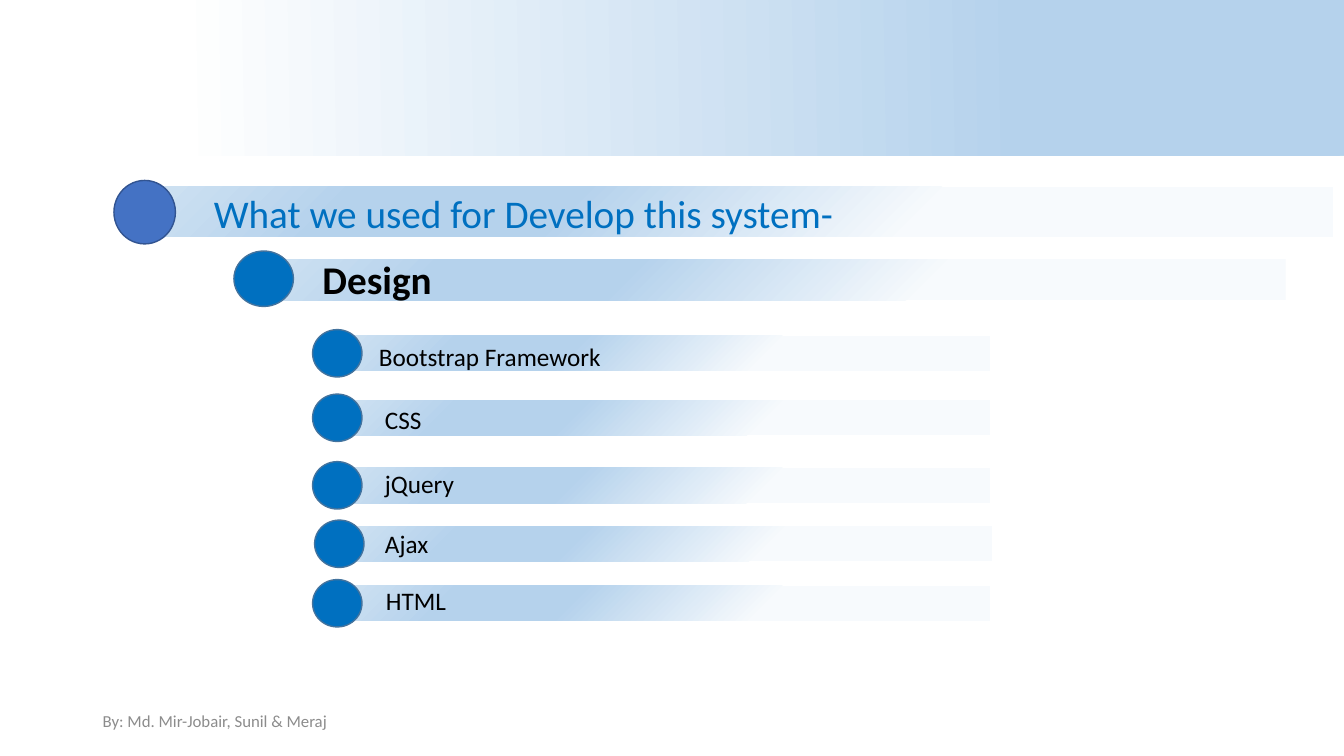
from lxml import etree
from pptx import Presentation
from pptx.dml.color import RGBColor
from pptx.enum.shapes import MSO_SHAPE
from pptx.enum.text import MSO_ANCHOR, MSO_AUTO_SIZE, PP_ALIGN
from pptx.oxml.ns import qn
from pptx.util import Inches, Pt

RECT, OVAL = MSO_SHAPE.RECTANGLE, MSO_SHAPE.OVAL
TOP, MIDDLE = MSO_ANCHOR.TOP, MSO_ANCHOR.MIDDLE
GROW, FIXED = MSO_AUTO_SIZE.SHAPE_TO_FIT_TEXT, MSO_AUTO_SIZE.NONE
LEFT = PP_ALIGN.LEFT
TITLE_ONLY = 5

COLORS = {
    "white": "FFFFFF", "ice": "F7FAFD", "sky": "B5D2EC", "pale": "CEE1F2",
    "blue": "0070C0", "blue_edge": "43739E",
    "indigo": "4472C4", "indigo_edge": "325491",
    "black": "000000", "gray": "8C8C8C",
}
BANNER_STOPS = [(13, "white"), (76, "sky"), (100, "sky"), (100, "pale")]
BAR_STOPS = [(35, "ice"), (65, "sky"), (83, "sky"), (100, "pale")]


class SlideBuilder:
    font = "Calibri"

    def __init__(self, slide):
        self.slide = slide

    def color(self, name):
        return RGBColor.from_string(COLORS[name])

    def shape(self, kind, box):
        shape = self.slide.shapes.add_shape(kind, *map(Inches, box))
        shape.shadow.inherit = False
        return shape

    def gradient_bar(self, box, stops=BAR_STOPS, angle=45, rotation=180):
        bar = self.shape(RECT, box)
        bar.rotation = rotation
        bar.line.fill.background()
        bar.fill.gradient()
        # The angle in the file runs clockwise, the property counterclockwise
        bar.fill.gradient_angle = (360 - angle) % 360
        stop_list = bar._element.spPr.find(qn("a:gradFill")).find(qn("a:gsLst"))
        for old_stop in list(stop_list):
            stop_list.remove(old_stop)
        for percent, name in stops:
            stop = etree.SubElement(stop_list, qn("a:gs"), pos=str(percent * 1000))
            etree.SubElement(stop, qn("a:srgbClr"), val=COLORS[name])

    def dot(self, box, fill="blue", edge="blue_edge"):
        dot = self.shape(OVAL, box)
        dot.fill.solid()
        dot.fill.fore_color.rgb = self.color(fill)
        dot.line.color.rgb = self.color(edge)
        dot.line.width = Pt(1)

    def set_text(self, holder, text, size, color, bold=False, anchor=TOP, fit=GROW):
        frame = holder.text_frame
        frame.text = text
        frame.word_wrap = True
        frame.auto_size = fit
        frame.vertical_anchor = anchor
        paragraph = frame.paragraphs[0]
        paragraph.alignment = LEFT
        font = paragraph.runs[0].font
        font.name, font.size, font.bold = self.font, Pt(size), bold
        font.color.rgb = self.color(color)

    def label(self, box, text, size, color="black", **style):
        holder = self.slide.shapes.add_textbox(*map(Inches, box))
        self.set_text(holder, text, size, color, **style)

    def title(self, box, text, size, color):
        title = self.slide.shapes.title
        title.left, title.top, title.width, title.height = map(Inches, box)
        self.set_text(title, text, size, color)
        # Bring the title in front of its bar
        title._element.getparent().append(title._element)


def main():
    prs = Presentation()
    prs.slide_width, prs.slide_height = Inches(13.33), Inches(7.5)
    builder = SlideBuilder(prs.slides.add_slide(prs.slide_layouts[TITLE_ONLY]))

    # Top banner
    builder.gradient_bar((0.01, 0, 13.32, 1.54), BANNER_STOPS, 359, 0)

    # Design heading
    builder.gradient_bar((2.67, 2.57, 10.08, 0.41))
    builder.label((3.1, 2.48, 9.46, 0.57), "Design", 28, bold=True)
    builder.dot((2.32, 2.49, 0.59, 0.55))

    # Title
    builder.gradient_bar((1.52, 1.85, 11.7, 0.5))
    builder.title((2.02, 1.83, 10.98, 0.57),
                  "What we used for Develop this system-", 28, "blue")
    builder.dot((1.13, 1.79, 0.61, 0.63), "indigo", "indigo_edge")

    # Technologies: name, dot left and top, text left and top
    technologies = [
        ("Bootstrap Framework", 3.1, 3.27, 3.66, 3.34),
        ("CSS", 3.1, 3.91, 3.72, 3.96),
        ("jQuery", 3.1, 4.58, 3.72, 4.6),
        ("Ajax", 3.12, 5.16, 3.72, 5.19),
        ("HTML", 3.1, 5.75, 3.73, 5.76),
    ]
    for name, dot_left, dot_top, text_left, text_top in technologies:
        builder.gradient_bar((dot_left + 0.35, dot_top + 0.06, 6.37, 0.35))
        builder.dot((dot_left, dot_top, 0.49, 0.47))
        builder.label((text_left, text_top, 2.84, 0.4), name, 18)

    # Authors
    builder.label((0.92, 6.95, 3, 0.4), "By: Md. Mir-Jobair, Sunil & Meraj",
                  12, "gray", anchor=MIDDLE, fit=FIXED)

    prs.save("out.pptx")


if __name__ == "__main__":
    main()
